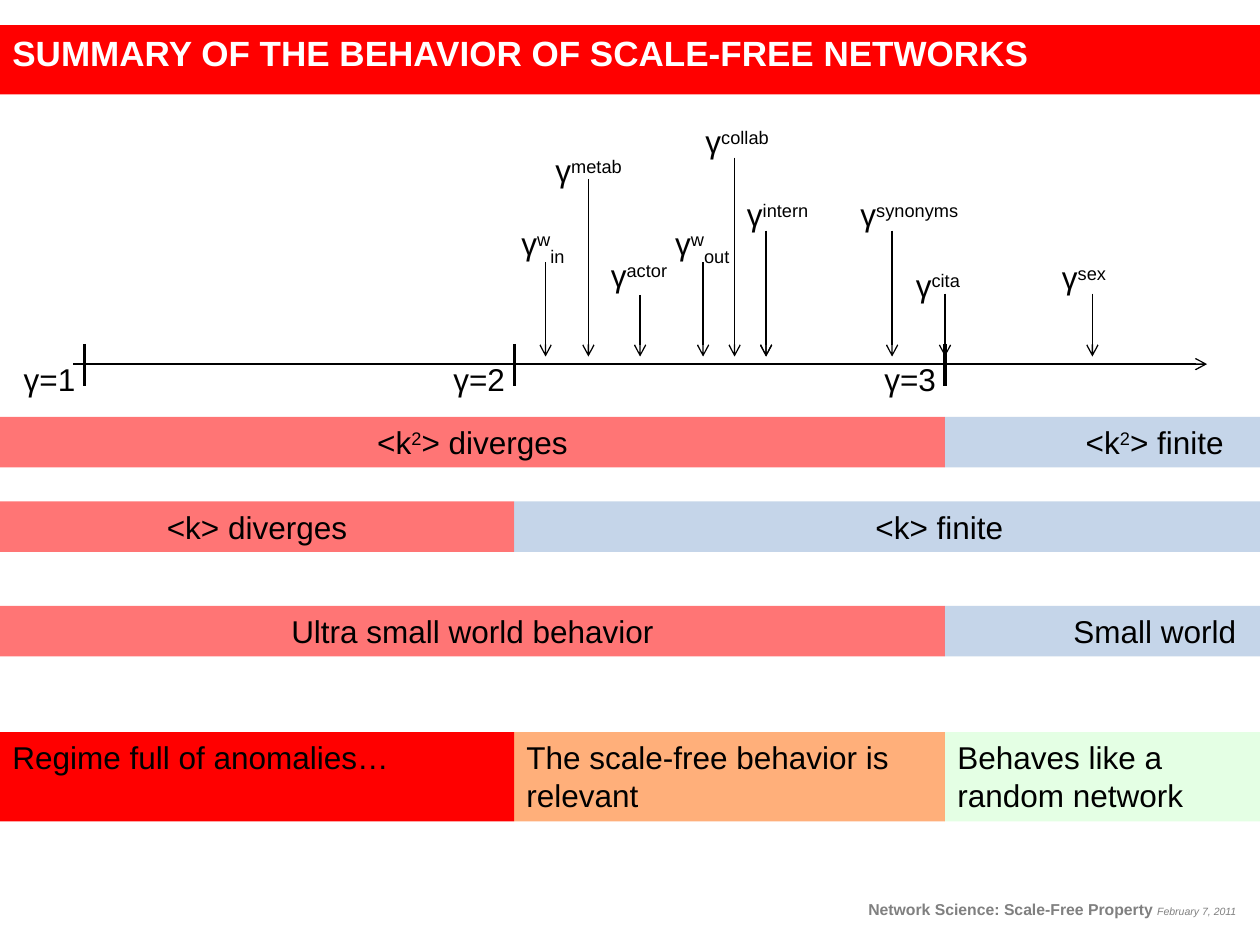
from dataclasses import dataclass
from typing import NamedTuple

from lxml import etree
from pptx import Presentation
from pptx.dml.color import RGBColor
from pptx.enum.shapes import MSO_CONNECTOR, MSO_SHAPE
from pptx.enum.text import MSO_ANCHOR, MSO_AUTO_SIZE, PP_ALIGN
from pptx.oxml.ns import qn
from pptx.util import Pt

RECT = MSO_SHAPE.RECTANGLE
LINE = MSO_CONNECTOR.STRAIGHT
TOP = MSO_ANCHOR.TOP
GROW, FIXED = MSO_AUTO_SIZE.SHAPE_TO_FIT_TEXT, MSO_AUTO_SIZE.NONE
LEFT, MID, RIGHT = PP_ALIGN.LEFT, PP_ALIGN.CENTER, PP_ALIGN.RIGHT
SCALE = 9144
SUP, SUB = 30, -25


def px(size: int) -> int:
    return size * SCALE


@dataclass(frozen=True)
class Theme:
    font: str = "Arial"
    ink: str = "000000"
    white: str = "FFFFFF"
    gray: str = "808080"
    red: str = "FF0000"
    blue: str = "95B3D7"
    green: str = "CCFFCC"
    orange: str = "FF6600"
    body: int = 18
    head: int = 20
    foot: int = 9
    date: int = 6
    thin: float = 0.75
    thick: float = 1.75


THEME = Theme()


class Run(NamedTuple):
    text: str
    base: int = 0
    size: int = THEME.body
    color: str = THEME.ink
    bold: bool = False
    slant: bool = False


class Box(NamedTuple):
    x: int
    y: int
    w: int
    h: int


class Bar(NamedTuple):
    box: Box
    runs: list[Run]
    fill: str
    alpha: int = 100
    align: PP_ALIGN = MID


class Mark(NamedTuple):
    x: int
    y: int
    w: int
    runs: list[Run]
    tip: int
    tops: tuple[int, ...]


def gamma(*parts: Run) -> list[Run]:
    return [Run("γ"), *parts]


def assign(item, values: dict) -> None:
    for name, value in values.items():
        setattr(item, name, value)


def write(shape, runs: list[Run], align=LEFT, wrap=True, fit=GROW, before=0) -> None:
    frame = shape.text_frame
    assign(frame, {"word_wrap": wrap, "auto_size": fit, "vertical_anchor": TOP})
    para = frame.paragraphs[0]
    assign(para, {"alignment": align, "space_before": Pt(before)})
    for part in runs:
        run = para.add_run()
        run.text = part.text
        assign(run.font, {"name": THEME.font, "size": Pt(part.size),
                          "bold": part.bold, "italic": part.slant})
        run.font.color.rgb = RGBColor.from_string(part.color)
        if part.base:
            run.font._element.set("baseline", str(part.base * 1000))


def label(slide, box: Box, runs: list[Run], align=LEFT, wrap=False) -> None:
    shape = slide.shapes.add_textbox(*map(px, box))
    write(shape, runs, align, wrap)


def band(slide, bar: Bar, fit=GROW, before=0) -> None:
    shape = slide.shapes.add_shape(RECT, *map(px, bar.box))
    shape.shadow.inherit = False
    shape.line.fill.background()
    shape.fill.solid()
    shape.fill.fore_color.rgb = RGBColor.from_string(bar.fill)
    if bar.alpha < 100:
        tint = shape._element.spPr.find(".//" + qn("a:srgbClr"))
        etree.SubElement(tint, qn("a:alpha"), val=str(bar.alpha * 1000))
    write(shape, bar.runs, bar.align, fit=fit, before=before)


def stroke(slide, ends: tuple[int, int, int, int], width: float, arrow=False) -> None:
    line = slide.shapes.add_connector(LINE, *map(px, ends))
    line.line.color.rgb = RGBColor.from_string(THEME.ink)
    line.line.width = Pt(width)
    if arrow:
        etree.SubElement(line.line._get_or_add_ln(), qn("a:tailEnd"), type="arrow")
    etree.SubElement(line._element.spPr, qn("a:effectLst"))


WIDE, HIGH, EDGE = 1000, 750, 1083
ONE, TWO, THREE = 67, 408, 750
AXIS, TIP, ROW, TALL = 289, 283, 40, 71

MARKS = [
    Mark(404, 173, 61, gamma(Run("w", SUP), Run("in", SUB)), 433, (208,)),
    Mark(526, 173, 71, gamma(Run("w", SUP), Run("out", SUB)), 558, (208,)),
    Mark(583, 150, 78, gamma(Run("intern", SUP)), 608, (183, 192)),
    Mark(475, 198, 73, gamma(Run("actor", SUP)), 508, (234,)),
    Mark(550, 92, 81, gamma(Run("collab", SUP)), 583, (125,)),
    Mark(431, 115, 83, gamma(Run("metab", SUP)), 467, (142,)),
    Mark(717, 206, 62, gamma(Run("cita", SUP)), 750, (233,)),
    Mark(673, 150, 111, gamma(Run("synonyms", SUP)), 708, (183,)),
    Mark(833, 200, 62, gamma(Run("sex", SUP)), 867, (233,)),
]

SPLITS = [
    (331, THREE, [Run("<k"), Run("2", SUP), Run("> diverges")],
     [Run("<k"), Run("2", SUP), Run("> finite")]),
    (398, TWO, [Run("<k> diverges")], [Run("<k> finite")]),
    (481, THREE, [Run("Ultra small world behavior")], [Run("Small world")]),
]

ZONES = [
    (THREE, WIDE, "Behaves like a random network", THEME.green, 52),
    (TWO, THREE, "The scale-free behavior is relevant", THEME.orange, 52),
    (0, TWO, "Regime full of anomalies…", THEME.red, 100),
]


def main() -> None:
    deck = Presentation()
    assign(deck, {"slide_width": px(WIDE), "slide_height": px(HIGH)})
    slide = deck.slides.add_slide(deck.slide_layouts[6])

    stroke(slide, (58, AXIS, 958, AXIS), THEME.thin, True)
    for num, tick in enumerate((ONE, TWO, THREE), 1):
        label(slide, Box(tick - 58, 281, 64, ROW), [Run(f"γ={num}")])
        stroke(slide, (tick, 273, tick, 306), THEME.thick)

    for y, cut, left, right in SPLITS:
        band(slide, Bar(Box(0, y, cut, ROW), left, THEME.red, 54))
        band(slide, Bar(Box(cut, y, EDGE - cut, ROW), right, THEME.blue, 54))
    for start, end, text, fill, alpha in ZONES:
        box = Box(start, 581, end - start, TALL)
        band(slide, Bar(box, [Run(text)], fill, alpha, LEFT))

    for mark in MARKS:
        label(slide, Box(mark.x, mark.y, mark.w, ROW), mark.runs)
        for top in mark.tops:
            stroke(slide, (mark.tip, top, mark.tip, TIP), THEME.thin, True)

    foot = [Run("Network Science: Scale-Free Property ", 0, THEME.foot, THEME.gray, True),
            Run("February 7, 2011", 0, THEME.date, THEME.gray, False, True)]
    label(slide, Box(672, 709, 319, 25), foot, RIGHT, True)
    head = Run("SUMMARY OF THE BEHAVIOR OF SCALE-FREE NETWORKS", 0,
               THEME.head, THEME.white, True)
    band(slide, Bar(Box(0, 20, WIDE, 55), [head], THEME.red, align=LEFT), FIXED, 4)
    deck.save("out.pptx")


if __name__ == "__main__":
    main()
